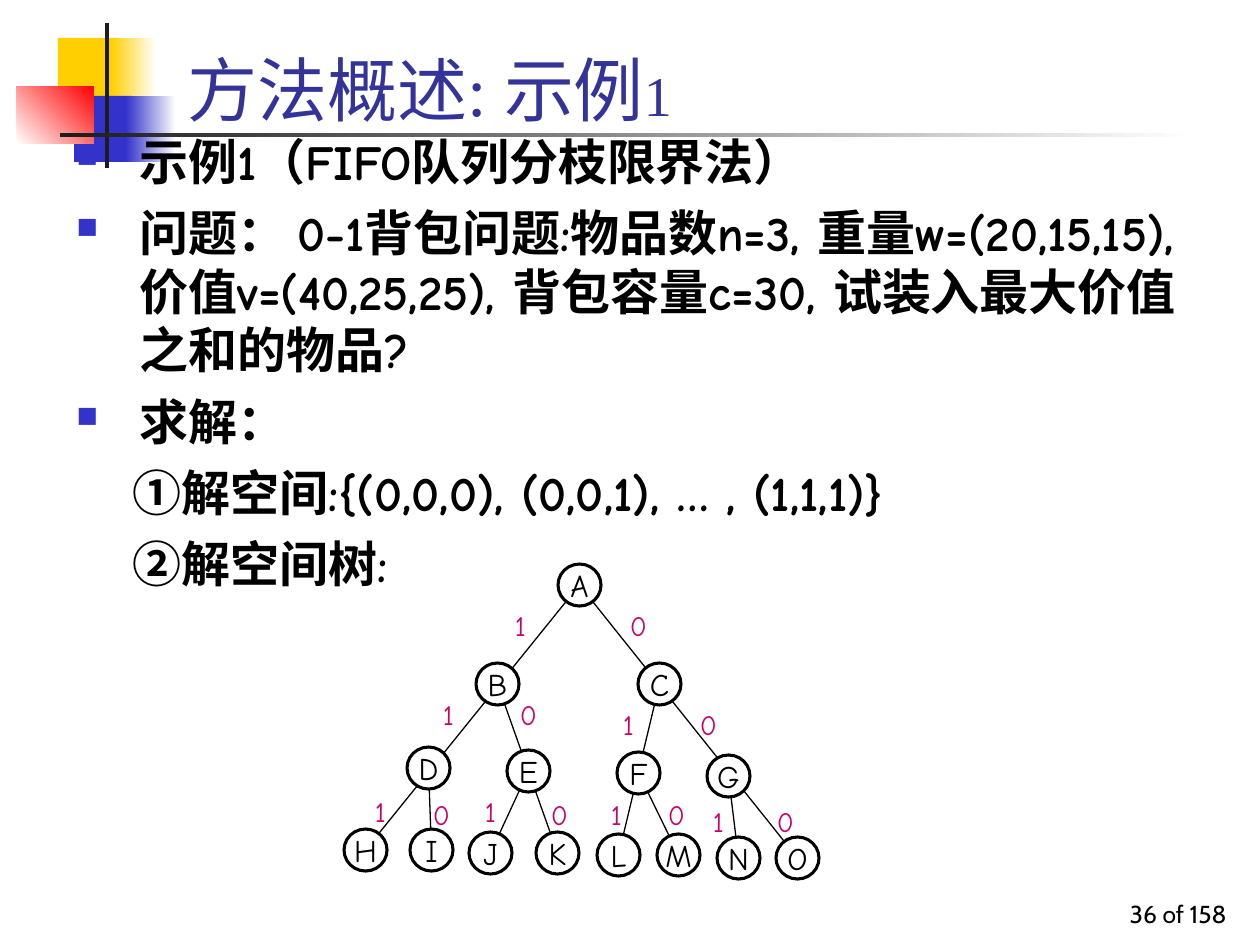
from lxml import etree
from pptx import Presentation
from pptx.dml.color import RGBColor
from pptx.enum.shapes import MSO_CONNECTOR, MSO_SHAPE
from pptx.enum.text import MSO_ANCHOR, PP_ALIGN
from pptx.oxml.ns import qn
from pptx.util import Emu, Pt

RECTANGLE, OVAL = MSO_SHAPE.RECTANGLE, MSO_SHAPE.OVAL
STRAIGHT = MSO_CONNECTOR.STRAIGHT
TOP, MIDDLE, BOTTOM = MSO_ANCHOR.TOP, MSO_ANCHOR.MIDDLE, MSO_ANCHOR.BOTTOM
LEFT, CENTER, RIGHT = PP_ALIGN.LEFT, PP_ALIGN.CENTER, PP_ALIGN.RIGHT
SCALE = 914400 / 126
NODE_WIDTH, NODE_HEIGHT = 43, 42
COLORS = {
    "white": "FFFFFF", "black": "000000", "yellow": "FFCF01", "blue": "3333CC",
    "red": "FF0000", "rule": "1C1C1C", "title": "333399", "weight": "CC0066",
}
ORNAMENTS = [
    ((41, 15, 60, 66), ["yellow"], 0),
    ((94, 15, 45, 66), ["yellow", "white"], 0),
    ((57, 73, 58, 66), ["blue"], 0),
    ((109, 73, 50, 66), ["blue", "white"], 0),
    ((0, 63, 77, 58), ["white", "red"], 45),
    ((88, 0, 4, 145), ["rule"], 0),
    ((43, 110, 1134, 4), ["rule", "white"], 0),
]
POINTS = [
    "示例1（FIFO队列分枝限界法）",
    "问题： 0-1背包问题:物品数n=3, 重量w=(20,15,15), 价值v=(40,25,25), "
    "背包容量c=30, 试装入最大价值之和的物品?",
    "求解：",
]
STEPS = ["①解空间:{(0,0,0), (0,0,1), … , (1,1,1)}", "②解空间树:"]
NODES = {
    "A": (214, 0), "B": (132, 99), "C": (294, 99),
    "D": (63, 183), "E": (163, 186), "F": (273, 188), "G": (363, 191),
    "H": (0, 265), "I": (66, 265), "J": (125, 268), "K": (192, 268),
    "L": (253, 270), "M": (313, 270), "N": (373, 273), "O": (432, 273),
}
BRANCHES = ["AO", "BK", "DI", "AH", "EJ", "FM", "CL", "GN"]
CHOICES = {
    "1": [(155, 40), (83, 129), (15, 226), (263, 139), (251, 229), (125, 226), (353, 236)],
    "0": [(273, 40), (163, 129), (76, 229), (194, 229), (311, 229), (420, 236), (343, 139)],
}


def px(length):
    """Turn px into EMU."""
    return Emu(round(length * SCALE))


def rgb(name):
    """Look up a named colour."""
    return RGBColor.from_string(COLORS[name])


def style(run, size, font, color, bold=False):
    """Format one run."""
    run.font.size, run.font.name, run.font.bold = Pt(size), font, bold
    run.font.color.rgb = rgb(color)


def add_plain_shape(shapes, kind, box):
    """Add a preset shape without shadow or outline."""
    shape = shapes.add_shape(kind, *map(px, box))
    shape.shadow.inherit = False
    shape.line.fill.background()
    return shape


def add_frame(slide, box, anchor):
    """Add a wrapping text box and return its frame."""
    frame = slide.shapes.add_textbox(*map(px, box)).text_frame
    frame.word_wrap, frame.vertical_anchor = True, anchor
    return frame


def add_bullet(paragraph):
    """Give a paragraph a small blue square bullet."""
    properties = paragraph._p.get_or_add_pPr()
    color = etree.SubElement(properties, qn("a:buClr"))
    etree.SubElement(color, qn("a:srgbClr"), val=COLORS["blue"])
    etree.SubElement(properties, qn("a:buSzPct"), val="60000")
    etree.SubElement(properties, qn("a:buChar"), char="■")


def draw_ornament(slide, box):
    """Draw the coloured squares and crossing rules."""
    left, top = box[:2]
    for (x, y, width, height), colors, angle in ORNAMENTS:
        block = add_plain_shape(slide.shapes, RECTANGLE, (left + x, top + y, width, height))
        if len(colors) == 1:
            block.fill.solid()
            block.fill.fore_color.rgb = rgb(colors[0])
            continue
        block.fill.gradient()
        block.fill.gradient_angle = angle
        for stop, color in zip(block.fill.gradient_stops, colors):
            stop.color.rgb = rgb(color)


def write_title(slide, box):
    """Write the heading with its smaller number."""
    heading = add_frame(slide, box, BOTTOM).paragraphs[0]
    for words, size in [("方法概述: 示例", 40), ("1", 32)]:
        run = heading.add_run()
        run.text = words
        style(run, size, "Times New Roman", "title")


def write_page_number(slide, box):
    """Write the page count at the right."""
    page = add_frame(slide, box, BOTTOM).paragraphs[0]
    page.text = "36 of 158"
    page.alignment = RIGHT
    style(page.runs[0], 14, "Cabin", "black")


def write_body(slide, box):
    """Write the bulleted points and the numbered steps."""
    body = add_frame(slide, box, TOP)
    for index, words in enumerate(POINTS + STEPS):
        paragraph = body.add_paragraph() if index else body.paragraphs[0]
        paragraph.text = words
        paragraph.alignment, paragraph.space_before = LEFT, Pt(7)
        is_point = index < len(POINTS)
        properties = paragraph._p.get_or_add_pPr()
        properties.set("marL", str(px(63)))
        properties.set("indent", str(px(-63 if is_point else -7)))
        if is_point:
            add_bullet(paragraph)
        style(paragraph.runs[0], 28, "Comic Neue", "black", True)


def add_label(shapes, position, words, size, color):
    """Add an oval with a centred label."""
    oval = add_plain_shape(shapes, OVAL, (*position, NODE_WIDTH, NODE_HEIGHT))
    oval.fill.background()
    frame = oval.text_frame
    frame.text = words
    frame.word_wrap, frame.vertical_anchor = False, MIDDLE
    frame.paragraphs[0].alignment = CENTER
    style(frame.paragraphs[0].runs[0], size, "Comic Neue", color)
    return oval


def draw_tree(slide, box):
    """Draw the solution tree with its branches, nodes and choices."""
    left, top = box[:2]
    shapes = slide.shapes.add_group_shape().shapes
    centers = {name: (left + x + NODE_WIDTH / 2, top + y + NODE_HEIGHT / 2)
               for name, (x, y) in NODES.items()}
    for start, end in BRANCHES:
        branch = shapes.add_connector(STRAIGHT, *map(px, centers[start] + centers[end]))
        branch.line.color.rgb, branch.line.width = rgb("black"), Pt(0.75)
        etree.SubElement(branch._element.spPr, qn("a:effectLst"))
    for name, (x, y) in NODES.items():
        node = add_label(shapes, (left + x, top + y), name, 18, "black")
        node.fill.solid()
        node.fill.fore_color.rgb = rgb("white")
        node.line.color.rgb, node.line.width = rgb("black"), Pt(1.75)
    for choice, positions in CHOICES.items():
        for x, y in positions:
            add_label(shapes, (left + x, top + y), choice, 16, "weight")


def main():
    """Build and save the slide."""
    deck = Presentation()
    deck.slide_width, deck.slide_height = px(1260), px(945)
    slide = deck.slides.add_slide(deck.slide_layouts[6])
    draw_ornament(slide, (17, 23, 1177, 145))
    write_page_number(slide, (977, 872, 262, 63))
    write_title(slide, (175, 21, 1074, 116))
    write_body(slide, (64, 125, 1150, 684))
    draw_tree(slide, (344, 564, 475, 315))
    deck.save("out.pptx")


if __name__ == "__main__":
    main()
